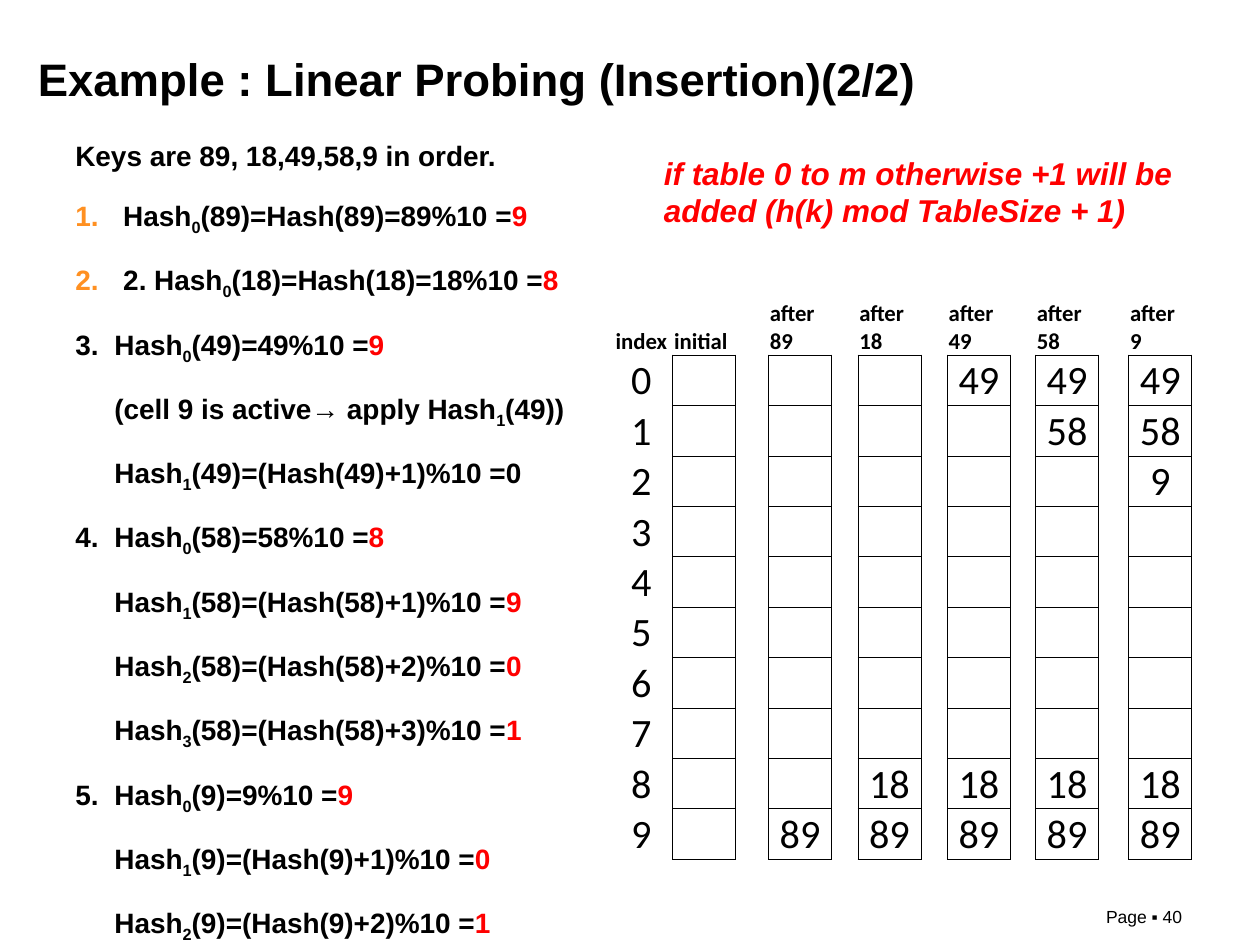
from lxml import etree
from pptx import Presentation
from pptx.dml.color import RGBColor
from pptx.enum.text import MSO_ANCHOR, PP_ALIGN
from pptx.oxml.ns import qn
from pptx.util import Inches, Pt

LEFT, CENTER, RIGHT = PP_ALIGN.LEFT, PP_ALIGN.CENTER, PP_ALIGN.RIGHT
MIDDLE, BOTTOM = MSO_ANCHOR.MIDDLE, MSO_ANCHOR.BOTTOM
TITLE_ONLY = 5
NO_STYLE_NO_GRID = "{2D5ABB26-0587-4C30-8999-92F81FD0307C}"

THEME = {
    "text": "000000", "accent": "FF0000", "number": "FF9021", "paper": "FFFFFF",
    "font": "Arial", "table_font": "Calibri",
    "title": 26, "body": 16, "note": 18, "header": 13, "cell": 23, "page": 10,
}


def format_run(run, size, color="text", font="font", bold=True, italic=False):
    run.font.name = THEME[font]
    run.font.size = Pt(THEME[size])
    run.font.bold = bold
    run.font.italic = italic
    run.font.color.rgb = RGBColor.from_string(THEME[color])


def add_border(cell, side, width):
    line = etree.SubElement(cell._tc.get_or_add_tcPr(), qn(f"a:ln{side}"), w=str(Pt(width)))
    fill = etree.SubElement(line, qn("a:solidFill"))
    etree.SubElement(fill, qn("a:srgbClr"), val=THEME["text"])


presentation = Presentation()
presentation.slide_width, presentation.slide_height = Inches(10), Inches(7.5)
slide = presentation.slides.add_slide(presentation.slide_layouts[TITLE_ONLY])

# Title
title = slide.shapes.title
title.left, title.top, title.width, title.height = Inches(0.2), Inches(0), Inches(9.8), Inches(1.25)
title.text_frame.text = "Example : Linear Probing (Insertion)(2/2)"
title.text_frame.vertical_anchor = MIDDLE
title.text_frame.paragraphs[0].alignment = LEFT
format_run(title.text_frame.paragraphs[0].runs[0], "title")

# Worked steps: text before the subscript, subscript, text after it, result
steps = [
    ("Keys are 89, 18,49,58,9 in order.", "", "", ""),
    ("Hash", "0", "(89)=Hash(89)=89%10 =", "9"),
    ("2. Hash", "0", "(18)=Hash(18)=18%10 =", "8"),
    ("3.\tHash", "0", "(49)=49%10 =", "9"),
    ("\t(cell 9 is active→ apply Hash", "1", "(49))", ""),
    ("\tHash", "1", "(49)=(Hash(49)+1)%10 =0", ""),
    ("4.\tHash", "0", "(58)=58%10 =", "8"),
    ("\tHash", "1", "(58)=(Hash(58)+1)%10 =", "9"),
    ("\tHash", "2", "(58)=(Hash(58)+2)%10 =", "0"),
    ("\tHash", "3", "(58)=(Hash(58)+3)%10 =", "1"),
    ("5.\tHash", "0", "(9)=9%10 =", "9"),
    ("\tHash", "1", "(9)=(Hash(9)+1)%10 =", "0"),
    ("\tHash", "2", "(9)=(Hash(9)+2)%10 =", "1"),
]
auto_numbered = (1, 2)

body = slide.shapes.add_textbox(Inches(0), Inches(0.92), Inches(10), Inches(5.84))
body.fill.solid()
body.fill.fore_color.rgb = RGBColor.from_string(THEME["paper"])
body.text_frame.word_wrap = True
for index, parts in enumerate(steps):
    paragraph = body.text_frame.paragraphs[0] if index == 0 else body.text_frame.add_paragraph()
    paragraph.line_spacing = 1.5
    paragraph.space_before = Pt(4)
    margin, hanging = (0.88, 0.38) if index in auto_numbered else (0.81, 0.31)
    properties = paragraph._p.get_or_add_pPr()
    properties.set("marL", str(Inches(margin)))
    properties.set("indent", str(-Inches(hanging)))
    if index in auto_numbered:
        number_color = etree.SubElement(properties, qn("a:buClr"))
        etree.SubElement(number_color, qn("a:srgbClr"), val=THEME["number"])
        etree.SubElement(properties, qn("a:buFont"), typeface=THEME["font"])
        etree.SubElement(properties, qn("a:buAutoNum"), type="arabicPeriod")
    for position, text in enumerate(parts):
        if not text:
            continue
        run = paragraph.add_run()
        run.text = text
        format_run(run, "body", "accent" if position == 3 else "text")
        if position == 1:
            run.font._element.set("baseline", "-25000")

# Table contents: the state of the hash table after each insertion
slots = 10
keys = [89, 18, 49, 58, 9]
states = [{}]
for key in keys:
    state = dict(states[-1])
    slot = key % slots
    while slot in state:
        slot = (slot + 1) % slots
    state[slot] = key
    states.append(state)
headers = ["initial"] + [f"after {key}" for key in keys]

# Table: index column, then state columns separated by narrow gaps
gaps = [0.26, 0.21, 0.21, 0.2, 0.24]
widths = [0.5, 0.5]
for gap in gaps:
    widths += [gap, 0.5]
frame = slide.shapes.add_table(slots + 1, len(widths), Inches(4.84), Inches(2.33), Inches(4.62), Inches(4.49))
table = frame.table
table.first_row = table.horz_banding = False
table._tbl.tblPr.find(qn("a:tableStyleId")).text = NO_STYLE_NO_GRID
for column, width in zip(table.columns, widths):
    column.width = Inches(width)
for row_number, row in enumerate(table.rows):
    is_header = row_number == 0
    slot = row_number - 1
    row.height = Inches(0.49 if is_header else 0.4)
    for column_number, cell in enumerate(row.cells):
        is_index = column_number == 0
        is_state = column_number % 2 == 1
        cell.margin_left = cell.margin_right = cell.margin_top = Inches(0.01)
        cell.margin_bottom = Inches(0)
        cell.vertical_anchor = BOTTOM

        # Only the state columns are boxed; neighbours share their edges
        if is_header:
            borders = {"B": 1} if is_state else {}
        elif is_state:
            top = 1 if slot == 0 or (column_number, slot) == (1, 5) else 0.5
            bottom = 1 if (column_number, slot) == (1, 4) else 0.5
            borders = {"L": 0.5, "R": 0.5, "T": top, "B": bottom}
        else:
            borders = {"R": 0.5} if is_index else {"L": 0.5, "R": 0.5}
        for side, width in borders.items():
            add_border(cell, side, width)
        cell.fill.background()

        if is_index:
            text = "index" if is_header else str(slot)
        elif is_state:
            state_number = column_number // 2
            text = headers[state_number] if is_header else str(states[state_number].get(slot, ""))
        else:
            text = ""
        if text:
            cell.text_frame.text = text
            paragraph = cell.text_frame.paragraphs[0]
            paragraph.alignment = LEFT if is_header and is_state else CENTER
            format_run(paragraph.runs[0], "header" if is_header else "cell", font="table_font", bold=is_header)

# Note and page number
note_text = "if table 0 to m otherwise +1 will be added (h(k) mod TableSize + 1)"
labels = [
    (note_text, (5.17, 1.17, 4.25, 0.71), LEFT, "note", "accent", True),
    ("Page ▪ 40", (7.91, 7.14, 1.57, 0.22), RIGHT, "page", "text", False),
]
for text, box, alignment, size, color, emphasis in labels:
    label = slide.shapes.add_textbox(*map(Inches, box))
    label.text_frame.word_wrap = True
    label.text_frame.text = text
    paragraph = label.text_frame.paragraphs[0]
    paragraph.alignment = alignment
    format_run(paragraph.runs[0], size, color, bold=emphasis, italic=emphasis)

presentation.save("out.pptx")
